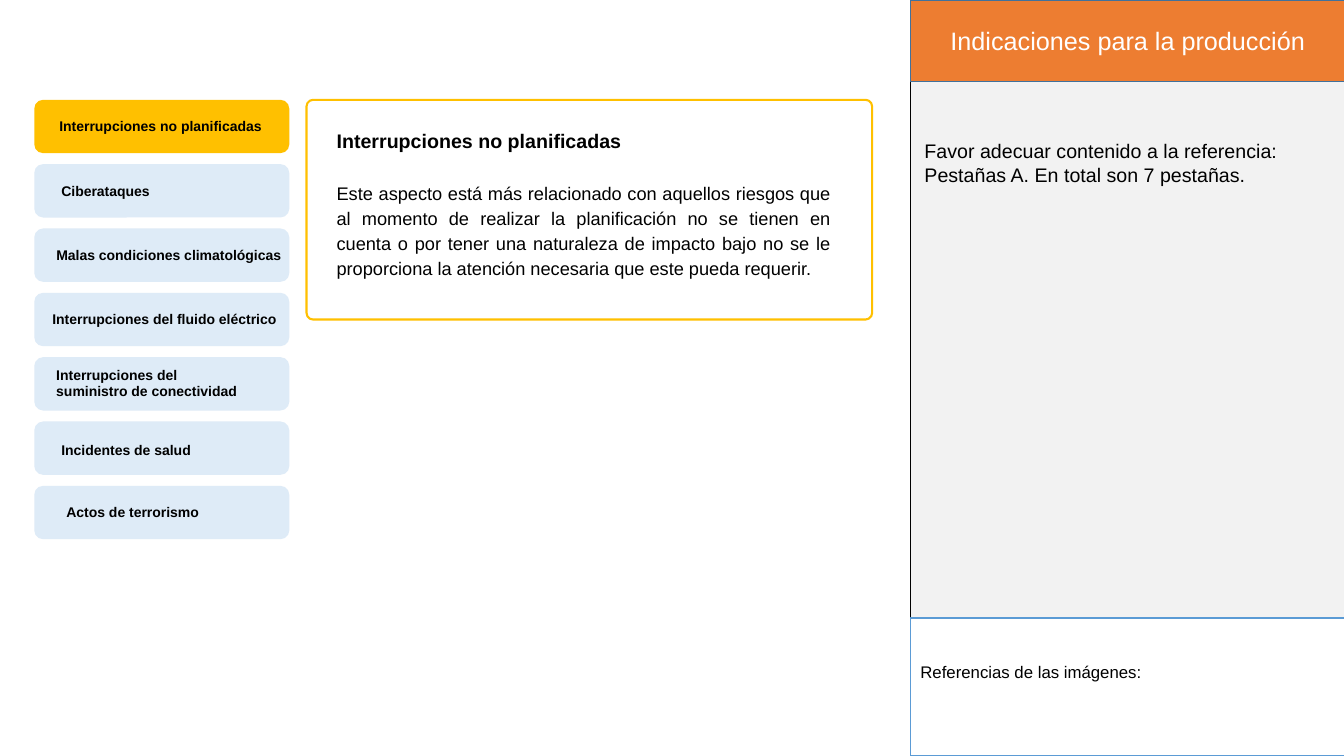
from dataclasses import dataclass
from pptx import Presentation
from pptx.dml.color import RGBColor as Rgb
from pptx.enum.shapes import MSO_SHAPE as Kind
from pptx.enum.text import MSO_ANCHOR as Anchor, MSO_AUTO_SIZE as Auto, PP_ALIGN as Align
from pptx.util import Inches, Pt


@dataclass(frozen=True)
class Theme:
    font: str = "Arial"
    ink: str = "000000"
    white: str = "FFFFFF"
    grey: str = "F2F2F2"
    orange: str = "ED7D31"
    navy: str = "42719B"
    blue: str = "5B9BD5"
    pale: str = "DEEBF7"
    gold: str = "FFC000"
    title: int = 18
    head: int = 14
    body: int = 13
    note: int = 12
    tab: int = 10


theme = Theme()

TABS = [
    ("Interrupciones no planificadas", 0.15, 0.13, 2.23, 0.27),
    ("Ciberataques", 0.17, 0.13, 1.09, 0.27),
    ("Malas condiciones climatológicas", 0.12, 0.13, 2.45, 0.27),
    ("Interrupciones del fluido eléctrico", 0.08, 0.13, 2.45, 0.27),
    ("Interrupciones del suministro de conectividad", 0.12, 0.04, 2.04, 0.44),
    ("Incidentes de salud", 0.17, 0.15, 1.5, 0.27),
    ("Actos de terrorismo", 0.22, 0.13, 1.53, 0.27),
]
TOPIC = "Interrupciones no planificadas"
DETAIL = (
    "Este aspecto está más relacionado con aquellos riesgos que al momento de "
    "realizar la planificación no se tienen en cuenta o por tener una naturaleza "
    "de impacto bajo no se le proporciona la atención necesaria que este pueda requerir."
)


def write(frame, text, size, bold=False, color=theme.ink, align=Align.LEFT,
          lead=None, before=None, more=False):
    para = frame.add_paragraph() if more else frame.paragraphs[0]
    para.alignment = align
    if lead:
        para.line_spacing = lead
    if before:
        para.space_before = Pt(before)
    run = para.add_run()
    run.text = text
    run.font.name = theme.font
    run.font.size = Pt(size)
    run.font.bold = bold
    run.font.color.rgb = Rgb.from_string(color)


def block(slide, box, fill=None, line=None, width=1, kind=Kind.RECTANGLE):
    shape = slide.shapes.add_shape(kind, *map(Inches, box))
    shape.shadow.inherit = False
    if fill:
        shape.fill.solid()
        shape.fill.fore_color.rgb = Rgb.from_string(fill)
    else:
        shape.fill.background()
    if line:
        shape.line.color.rgb = Rgb.from_string(line)
        shape.line.width = Pt(width)
    else:
        shape.line.fill.background()
    frame = shape.text_frame
    frame.word_wrap = True
    frame.vertical_anchor = Anchor.MIDDLE
    return shape


def label(slide, box, wrap=True, grow=True):
    frame = slide.shapes.add_textbox(*map(Inches, box)).text_frame
    frame.word_wrap = wrap
    frame.auto_size = Auto.SHAPE_TO_FIT_TEXT if grow else Auto.NONE
    return frame


def panel(slide, box):
    left, top, width, height = box
    block(slide, box, theme.grey, theme.ink)
    note = label(slide, (left + 0.04, top + 1.33, width - 0.19, 3.3), grow=False)
    write(note, "Favor adecuar contenido a la referencia: Pestañas A. "
          "En total son 7 pestañas.", theme.head)
    head = block(slide, (left, top, width, 0.81), theme.orange, theme.navy)
    write(head.text_frame, "Indicaciones para la producción", theme.title,
          color=theme.white, align=Align.CENTER)
    foot = block(slide, (left, top + height - 1.37, width, 1.37),
                 theme.white, theme.blue)
    foot.text_frame.margin_bottom = Inches(0.34)
    write(foot.text_frame, "Referencias de las imágenes:", theme.note)


def tabs(slide, box):
    left, top, width, height = box
    tall = 0.53
    step = (height - tall) / (len(TABS) - 1)
    for i in range(len(TABS)):
        block(slide, (left, top + i * step, width, tall),
              theme.pale if i else theme.gold, kind=Kind.ROUNDED_RECTANGLE)
    for i, (text, dx, dy, wide, high) in enumerate(TABS):
        frame = label(slide, (left + dx, top + i * step + dy, wide, high),
                      wrap=high > 0.3)
        write(frame, text, theme.tab, bold=True)


def card(slide, box):
    left, top, width, height = box
    edge = block(slide, box, line=theme.gold, width=1.5, kind=Kind.ROUNDED_RECTANGLE)
    edge.adjustments[0] = 0.03
    frame = label(slide, (left + 0.2, top + 0.21, width - 0.52, height - 0.55))
    write(frame, TOPIC, theme.head, bold=True, align=Align.JUSTIFY, lead=1.15)
    write(frame, DETAIL, theme.body, align=Align.JUSTIFY, lead=1.15,
          before=18.5, more=True)


def main():
    deck = Presentation()
    deck.slide_width = Inches(13.33)
    deck.slide_height = Inches(7.5)
    slide = deck.slides.add_slide(deck.slide_layouts[6])
    panel(slide, (9.03, 0, 4.31, 7.5))
    tabs(slide, (0.34, 0.99, 2.53, 4.36))
    card(slide, (3.04, 0.99, 5.61, 2.18))
    deck.save("out.pptx")


if __name__ == "__main__":
    main()
